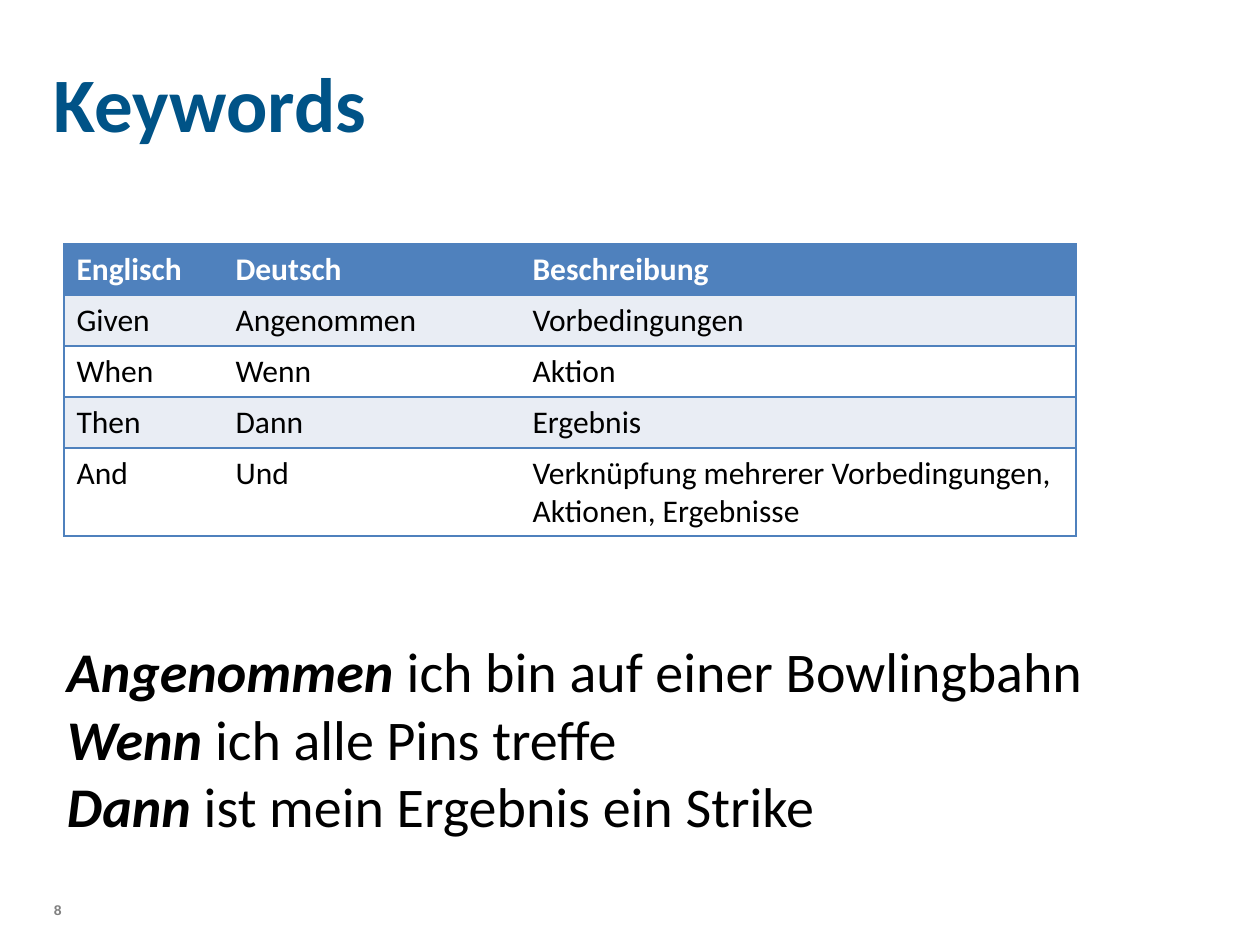
from lxml import etree
from pptx import Presentation
from pptx.dml.color import RGBColor
from pptx.enum.text import MSO_ANCHOR
from pptx.oxml.ns import qn
from pptx.util import Pt

PX = 914400 // 126
MIDDLE = MSO_ANCHOR.MIDDLE
TOP = MSO_ANCHOR.TOP
NAVY = RGBColor(0x00, 0x53, 0x87)
BLUE = RGBColor(0x4F, 0x81, 0xBD)
PALE = RGBColor(0xE9, 0xED, 0xF4)
WHITE = RGBColor(0xFF, 0xFF, 0xFF)
BLACK = RGBColor(0x00, 0x00, 0x00)
GREY = RGBColor(0x80, 0x80, 0x80)


def add_text(box, paragraphs, size, color, font="Calibri", inset=(0, 0), anchor=TOP):
    """Add a text box; each paragraph is a list of (text, bold, italic) runs."""
    frame = slide.shapes.add_textbox(*(n * PX for n in box)).text_frame
    frame.word_wrap = True
    frame.vertical_anchor = anchor
    frame.margin_left = frame.margin_right = inset[0] * PX
    frame.margin_top = frame.margin_bottom = inset[1] * PX
    for i, runs in enumerate(paragraphs):
        paragraph = frame.paragraphs[0] if i == 0 else frame.add_paragraph()
        paragraph.font.name = font
        paragraph.font.size = Pt(size)
        paragraph.font.color.rgb = color
        for text, bold, italic in runs:
            run = paragraph.add_run()
            run.text = text
            run.font.bold = bold
            run.font.italic = italic


def set_borders(cell, visible):
    """Draw the named cell sides in blue and leave the others without a line."""
    properties = cell._tc.get_or_add_tcPr()
    for side in "LRTB":
        line = etree.SubElement(properties, qn("a:ln" + side), w=str(Pt(1)))
        if side in visible:
            fill = etree.SubElement(line, qn("a:solidFill"))
            etree.SubElement(fill, qn("a:srgbClr"), val=str(BLUE))
        else:
            etree.SubElement(line, qn("a:noFill"))


prs = Presentation()
prs.slide_width = 1260 * PX
prs.slide_height = 945 * PX
slide = prs.slides.add_slide(prs.slide_layouts[6])

add_text((54, 902, 595, 16), [[("8", True, False)]], 8, GREY, font="Arial")
add_text((54, 38, 1150, 127), [[("Keywords", True, False)]], 44, NAVY, anchor=MIDDLE)

keywords = [
    ("Englisch", "Deutsch", "Beschreibung"),
    ("Given", "Angenommen", "Vorbedingungen"),
    ("When", "Wenn", "Aktion"),
    ("Then", "Dann", "Ergebnis"),
    ("And", "Und", "Verknüpfung mehrerer Vorbedingungen, Aktionen, Ergebnisse"),
]
column_widths = [159, 297, 556]
row_height = 51
table = slide.shapes.add_table(
    len(keywords), len(column_widths), 64 * PX, 244 * PX,
    sum(column_widths) * PX, len(keywords) * row_height * PX).table
for column, width in zip(table.columns, column_widths):
    column.width = width * PX

outer_sides = ["L", "", "R"]
for r, entries in enumerate(keywords):
    table.rows[r].height = row_height * PX
    is_header = r == 0
    for c, entry in enumerate(entries):
        cell = table.cell(r, c)
        set_borders(cell, "TB" + outer_sides[c])
        cell.fill.solid()
        cell.fill.fore_color.rgb = BLUE if is_header else PALE if r % 2 else WHITE
        cell.text = entry
        font = cell.text_frame.paragraphs[0].font
        font.name = "Calibri"
        font.size = Pt(18)
        font.bold = is_header
        font.color.rgb = WHITE if is_header else BLACK

scenario = [
    [("Angenommen ", True, True), ("ich bin auf einer Bowlingbahn ", False, False),
     ("Wenn ", True, True), ("ich alle Pins treffe", False, False)],
    [("Dann", True, True), (" ist mein Ergebnis ein Strike", False, False)],
]
add_text((54, 631, 1150, 217), scenario, 32, BLACK, inset=(13, 6))

prs.save("out.pptx")
